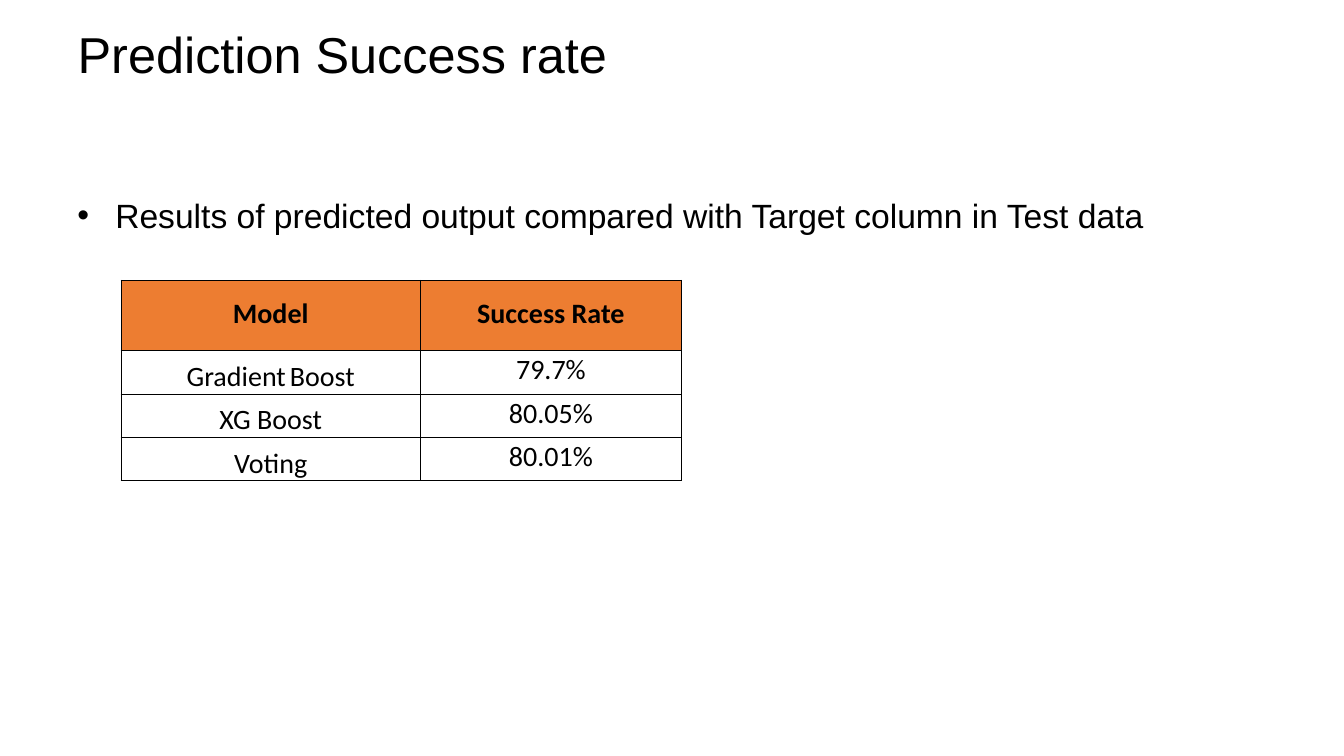
"""Builds the slide comparing prediction success rates by model."""

from dataclasses import dataclass

from lxml import etree
from pptx import Presentation
from pptx.dml.color import RGBColor
from pptx.enum.text import MSO_ANCHOR, PP_ALIGN
from pptx.oxml.ns import qn
from pptx.slide import Slide
from pptx.table import _Cell
from pptx.text.text import _Paragraph
from pptx.util import Inches, Pt

LEFT, CENTER = PP_ALIGN.LEFT, PP_ALIGN.CENTER
TOP, MIDDLE, BOTTOM = MSO_ANCHOR.TOP, MSO_ANCHOR.MIDDLE, MSO_ANCHOR.BOTTOM
COLORS = {"text": "000000", "border": "000000", "header": "ED7D31"}
COLUMN_WIDTHS = (2.97, 2.59)
HEADER_HEIGHT, ROW_HEIGHT = 0.7, 0.43


@dataclass(frozen=True)
class TextRun:
    """A piece of text with its font."""

    text: str
    size: float = 20
    font: str = "Calibri"
    bold: bool = False


@dataclass(frozen=True)
class ModelResult:
    """A model name and its success rate."""

    name: tuple[TextRun, ...]
    rate: TextRun


HEADINGS = (TextRun("Model", bold=True), TextRun("Success Rate", bold=True))
RESULTS = (
    ModelResult(
        (TextRun("Gradient"), TextRun(" ", 12, "Roboto Condensed"), TextRun("Boost")),
        TextRun("79.7%"),
    ),
    ModelResult((TextRun("XG Boost"),), TextRun("80.05%")),
    ModelResult((TextRun("Voting"),), TextRun("80.01%")),
)


def add_runs(paragraph: _Paragraph, runs: tuple[TextRun, ...], alignment: PP_ALIGN) -> None:
    """Write formatted runs into a paragraph."""
    paragraph.alignment = alignment
    for item in runs:
        run = paragraph.add_run()
        run.text = item.text
        run.font.size = Pt(item.size)
        run.font.name = item.font
        run.font.bold = item.bold
        run.font.color.rgb = RGBColor.from_string(COLORS["text"])


def add_title(slide: Slide) -> None:
    """Place and fill the title placeholder."""
    title = slide.shapes.title
    title.left, title.top = Inches(0.67), Inches(0.21)
    title.width, title.height = Inches(12), Inches(0.64)
    title.text_frame.vertical_anchor = MIDDLE
    add_runs(
        title.text_frame.paragraphs[0],
        (TextRun("Prediction Success rate", 36, "Arial"),),
        LEFT,
    )


def add_summary(slide: Slide) -> None:
    """Add the bulleted summary line."""
    box = slide.shapes.add_textbox(Inches(0.67), Inches(1.28), Inches(11.14), Inches(5.42))
    frame = box.text_frame
    frame.word_wrap = True
    frame.vertical_anchor = TOP
    frame.margin_top = Inches(0.65)
    paragraph = frame.paragraphs[0]
    text = "Results of predicted output compared with Target column in Test data"
    add_runs(paragraph, (TextRun(text, 24, "Arial"),), LEFT)
    properties = paragraph._p.get_or_add_pPr()
    properties.set("marL", str(Pt(27)))
    properties.set("indent", str(-Pt(27)))
    etree.SubElement(properties, qn("a:buFont")).set("typeface", "Arial")
    etree.SubElement(properties, qn("a:buChar")).set("char", "•")


def add_borders(cell: _Cell) -> None:
    """Draw a thin line on every side of a cell."""
    properties = cell._tc.get_or_add_tcPr()
    for side in ("lnL", "lnR", "lnT", "lnB"):
        line = etree.SubElement(properties, qn(f"a:{side}"), w=str(Pt(0.5)))
        fill = etree.SubElement(line, qn("a:solidFill"))
        etree.SubElement(fill, qn("a:srgbClr"), val=COLORS["border"])


def fill_cell(
    cell: _Cell, runs: tuple[TextRun, ...], anchor: MSO_ANCHOR, color: str | None = None
) -> None:
    """Write and format one table cell."""
    cell.margin_left = cell.margin_right = cell.margin_top = Inches(0.01)
    cell.margin_bottom = Inches(0 if anchor == BOTTOM else 0.05)
    cell.vertical_anchor = anchor
    add_borders(cell)
    if color:
        cell.fill.solid()
        cell.fill.fore_color.rgb = RGBColor.from_string(color)
    else:
        cell.fill.background()
    add_runs(cell.text_frame.paragraphs[0], runs, CENTER)


def add_results(slide: Slide) -> None:
    """Add the table of success rates."""
    height = HEADER_HEIGHT + ROW_HEIGHT * len(RESULTS)
    frame = slide.shapes.add_table(
        len(RESULTS) + 1,
        len(HEADINGS),
        Inches(1.2),
        Inches(2.78),
        Inches(sum(COLUMN_WIDTHS)),
        Inches(height),
    )
    table = frame.table
    table.horz_banding = False
    table.first_row = False
    for column, width in zip(table.columns, COLUMN_WIDTHS):
        column.width = Inches(width)
    for index, row in enumerate(table.rows):
        row.height = Inches(ROW_HEIGHT if index else HEADER_HEIGHT)
    for index, heading in enumerate(HEADINGS):
        fill_cell(table.cell(0, index), (heading,), MIDDLE, COLORS["header"])
    for index, result in enumerate(RESULTS, start=1):
        fill_cell(table.cell(index, 0), result.name, BOTTOM)
        fill_cell(table.cell(index, 1), (result.rate,), MIDDLE)


def main() -> None:
    """Build and save the presentation."""
    presentation = Presentation()
    presentation.slide_width = Inches(13.33)
    presentation.slide_height = Inches(7.5)
    slide = presentation.slides.add_slide(presentation.slide_layouts[5])
    add_title(slide)
    add_summary(slide)
    add_results(slide)
    presentation.save("out.pptx")


if __name__ == "__main__":
    main()
